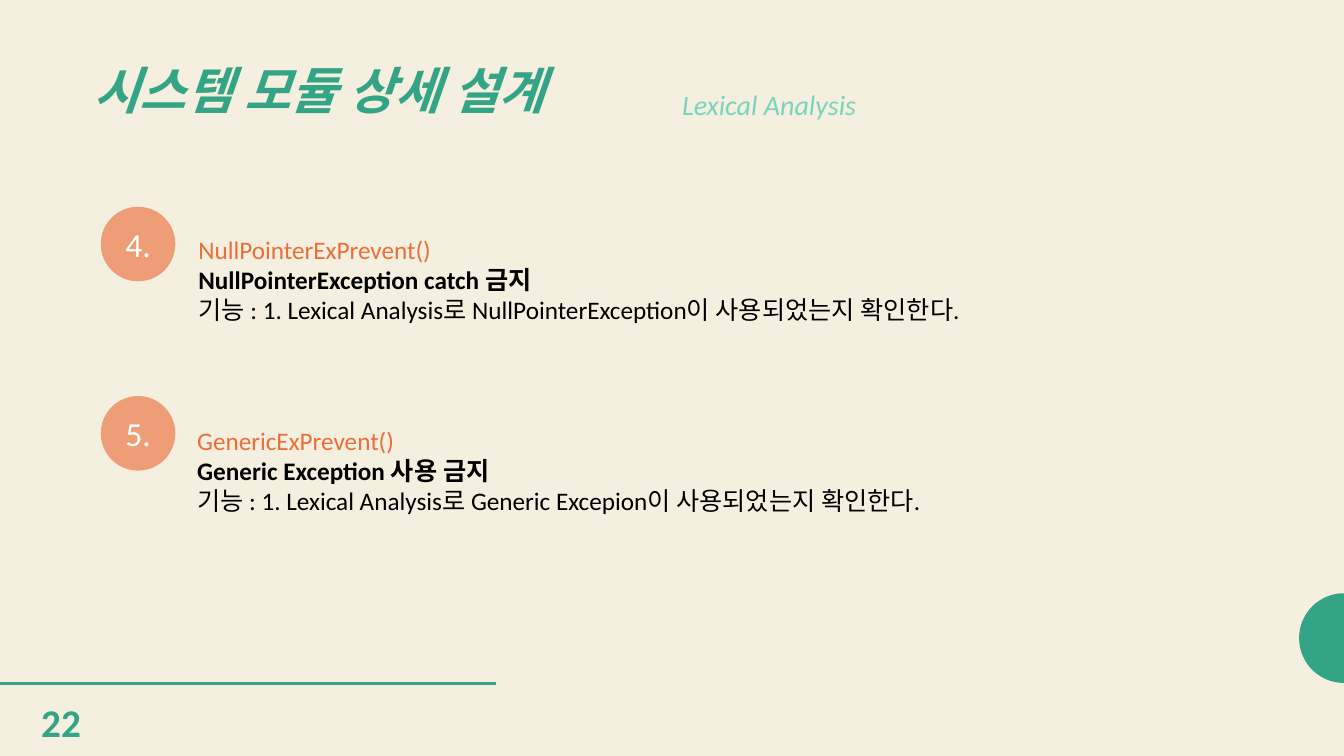
"""Build the lexical analysis slide of a module design deck."""
from dataclasses import dataclass
from math import cos, pi, sin

from lxml.etree import SubElement
from pptx import Presentation
from pptx.dml.color import RGBColor
from pptx.enum.shapes import MSO_CONNECTOR, MSO_SHAPE
from pptx.enum.text import MSO_ANCHOR, PP_ALIGN
from pptx.oxml.ns import qn
from pptx.slide import Slide
from pptx.text.text import TextFrame
from pptx.util import Cm, Pt


@dataclass(frozen=True)
class Theme:
    """Colours, font and type sizes of the slide."""
    cream: RGBColor = RGBColor(0xF4, 0xEF, 0xDF)
    green: RGBColor = RGBColor(0x33, 0xA4, 0x85)
    mint: RGBColor = RGBColor(0x78, 0xD5, 0xBB)
    orange: RGBColor = RGBColor(0xEC, 0x6E, 0x39)
    black: RGBColor = RGBColor(0, 0, 0)
    white: RGBColor = RGBColor(0xFF, 0xFF, 0xFF)
    badge_alpha: int = 63
    font: str = "Calibri"
    title: int = 36
    page: int = 28
    badge: int = 24
    subtitle: int = 20
    body: int = 18


THEME = Theme()
SLIDE_WIDTH, SLIDE_HEIGHT = 33.87, 19.05
BADGE_LEFT, BADGE_SIZE = 2.54, 1.88


@dataclass(frozen=True)
class Line:
    """One paragraph and its look."""
    text: str
    size: int
    color: RGBColor
    bold: bool = False
    italic: bool = False
    spacing: float = 1.0


@dataclass(frozen=True)
class Label:
    """A text box in centimetres with its paragraphs."""
    left: float
    top: float
    width: float
    height: float
    lines: tuple[Line, ...]


@dataclass(frozen=True)
class Rule:
    """A numbered checking function with its description."""
    number: str
    badge_top: float
    text_left: float
    text_top: float
    function: str
    summary: str
    detail: str


HEADINGS = (
    Label(2.11, 1.55, 14.48, 2.01,
          (Line("시스템 모듈 상세 설계", THEME.title, THEME.green, True, True, 0.9),)),
    Label(0.79, 17.48, 2.21, 1.45, (Line("22", THEME.page, THEME.green, True),)),
    Label(16.94, 2.08, 16.9, 1.5,
          (Line("Lexical Analysis", THEME.subtitle, THEME.mint, italic=True),)),
)

RULES = (
    Rule("4.", 5.21, 4.75, 5.77, "NullPointerExPrevent()",
         "NullPointerException catch 금지",
         "기능 : 1. Lexical Analysis로 NullPointerException이 사용되었는지 확인한다."),
    Rule("5.", 9.98, 4.72, 10.59, "GenericExPrevent()",
         "Generic Exception 사용 금지",
         "기능 : 1. Lexical Analysis로 Generic Excepion이 사용되었는지 확인한다."),
)


def write_lines(frame: TextFrame, lines: tuple[Line, ...]) -> None:
    """Fill a text frame with formatted paragraphs."""
    frame.word_wrap = True
    for index, line in enumerate(lines):
        paragraph = frame.add_paragraph() if index else frame.paragraphs[0]
        paragraph.line_spacing = line.spacing
        run = paragraph.add_run()
        run.text = line.text
        formats = {"name": THEME.font, "size": Pt(line.size),
                   "bold": line.bold, "italic": line.italic}
        for attribute, value in formats.items():
            setattr(run.font, attribute, value)
        run.font.color.rgb = line.color


def draw_label(slide: Slide, label: Label) -> None:
    """Add a text box."""
    box = slide.shapes.add_textbox(
        Cm(label.left), Cm(label.top), Cm(label.width), Cm(label.height))
    write_lines(box.text_frame, label.lines)


def draw_badge(slide: Slide, rule: Rule) -> None:
    """Add the translucent circle that carries a rule number."""
    badge = slide.shapes.add_shape(
        MSO_SHAPE.OVAL, Cm(BADGE_LEFT), Cm(rule.badge_top), Cm(BADGE_SIZE), Cm(BADGE_SIZE))
    badge.shadow.inherit = False
    badge.fill.solid()
    badge.fill.fore_color.rgb = THEME.orange
    tint = badge.fill._xPr.find(f"{qn('a:solidFill')}/{qn('a:srgbClr')}")
    SubElement(tint, qn("a:alpha"), val=str(THEME.badge_alpha * 1000))
    badge.line.fill.background()
    write_lines(badge.text_frame, (Line(rule.number, THEME.badge, THEME.white),))
    badge.text_frame.vertical_anchor = MSO_ANCHOR.MIDDLE
    badge.text_frame.paragraphs[0].alignment = PP_ALIGN.CENTER


def draw_rule(slide: Slide, rule: Rule) -> None:
    """Add a numbered rule with its three lines."""
    draw_badge(slide, rule)
    draw_label(slide, Label(rule.text_left, rule.text_top, 24.89, 2.57, (
        Line(rule.function, THEME.body, THEME.orange),
        Line(rule.summary, THEME.body, THEME.black, bold=True),
        Line(rule.detail, THEME.body, THEME.black),
    )))


def draw_half_disc(slide: Slide, middle: float, radius: float, steps: int = 48) -> None:
    """Add the half disc at the right edge of the slide."""
    angles = [pi * step / steps for step in range(steps + 1)]
    points = [(Cm(SLIDE_WIDTH - radius * sin(angle)), Cm(middle - radius * cos(angle)))
              for angle in angles]
    builder = slide.shapes.build_freeform(*points[0])
    builder.add_line_segments(points[1:], close=True)
    disc = builder.convert_to_shape()
    disc.shadow.inherit = False
    disc.fill.solid()
    disc.fill.fore_color.rgb = THEME.green
    disc.line.fill.background()


def draw_footer_line(slide: Slide, top: float, length: float) -> None:
    """Add the line above the page number."""
    footer = slide.shapes.add_connector(
        MSO_CONNECTOR.STRAIGHT, Cm(0), Cm(top), Cm(length), Cm(top))
    footer.line.color.rgb = THEME.green
    footer.line.width = Pt(2)
    SubElement(footer._element.spPr, qn("a:effectLst"))


def main() -> None:
    """Create and save the presentation."""
    deck = Presentation()
    deck.slide_width, deck.slide_height = Cm(SLIDE_WIDTH), Cm(SLIDE_HEIGHT)
    slide = deck.slides.add_slide(deck.slide_layouts[6])
    slide.background.fill.solid()
    slide.background.fill.fore_color.rgb = THEME.cream
    draw_half_disc(slide, middle=16.08, radius=1.13)
    draw_footer_line(slide, top=17.22, length=12.5)
    for heading in HEADINGS:
        draw_label(slide, heading)
    for rule in RULES:
        draw_rule(slide, rule)
    deck.save("out.pptx")


if __name__ == "__main__":
    main()
